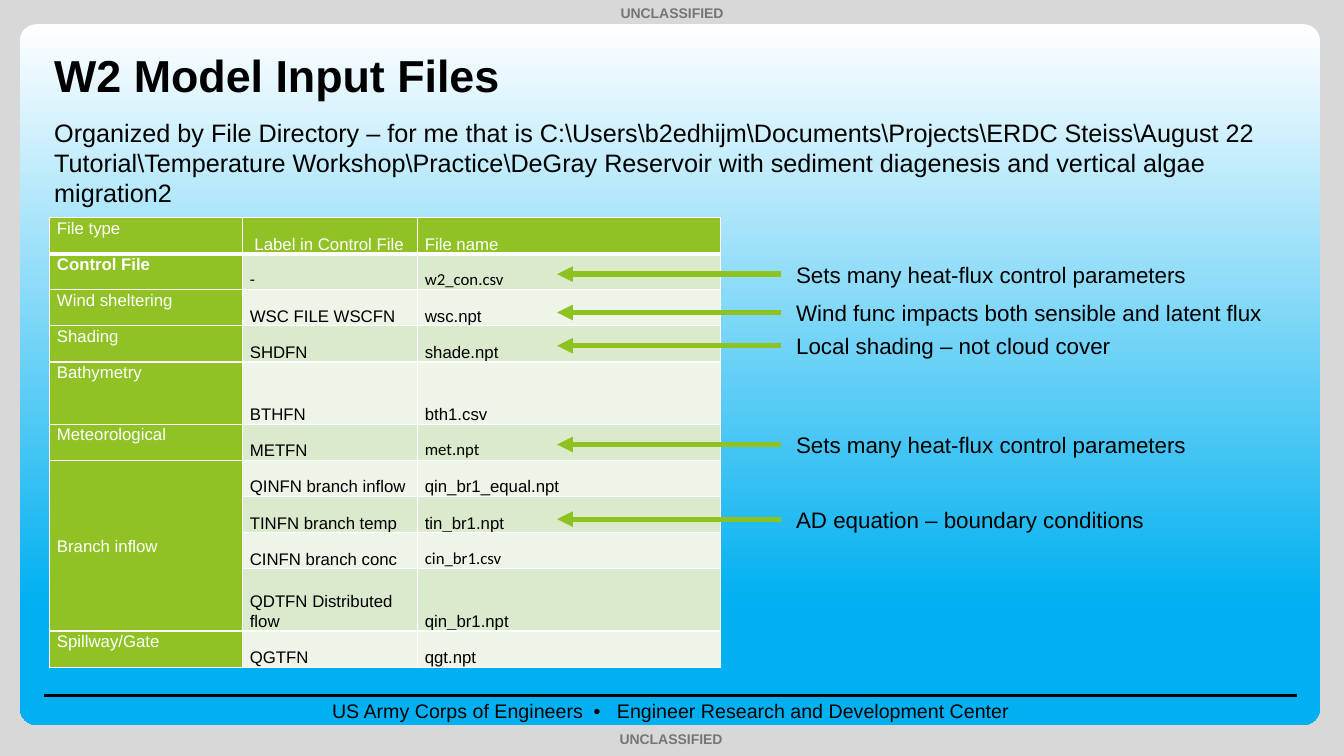
from lxml.etree import SubElement
from pptx import Presentation
from pptx.dml.color import RGBColor
from pptx.enum.shapes import MSO_CONNECTOR as Connector, MSO_SHAPE as Shape
from pptx.enum.text import MSO_ANCHOR as Anchor, MSO_AUTO_SIZE as AutoSize, PP_ALIGN as Align
from pptx.oxml import parse_xml
from pptx.oxml.ns import nsdecls, qn
from pptx.util import Pt

BLACK = RGBColor(0x00, 0x00, 0x00)
WHITE = RGBColor(0xFF, 0xFF, 0xFF)
BACKDROP = RGBColor(0xD8, 0xD8, 0xD8)
MARKING = RGBColor(0x76, 0x76, 0x76)
SKY = RGBColor(0x00, 0xB0, 0xF0)
GREEN = RGBColor(0x90, 0xC2, 0x26)
ARROW_GREEN = RGBColor(0x8E, 0xC2, 0x21)
BAND_DARK = RGBColor(0xDB, 0xE9, 0xCD)
BAND_LIGHT = RGBColor(0xEE, 0xF4, 0xE8)

DIRECTORY = (
    "Organized by File Directory – for me that is "
    "C:\\Users\\b2edhijm\\Documents\\Projects\\ERDC Steiss\\August 22 "
    "Tutorial\\Temperature Workshop\\Practice\\DeGray Reservoir with "
    "sediment diagenesis and vertical algae migration2"
)
FILES = [
    ("File type", " Label in Control File", "File name"),
    ("Control File", "-", "w2_con.csv"),
    ("Wind sheltering", "WSC FILE WSCFN", "wsc.npt"),
    ("Shading", "SHDFN", "shade.npt"),
    ("Bathymetry", "BTHFN", "bth1.csv"),
    ("Meteorological", "METFN", "met.npt"),
    ("Branch inflow", "QINFN branch inflow", "qin_br1_equal.npt"),
    ("", "TINFN branch temp", "tin_br1.npt"),
    ("", "CINFN branch conc", "cin_br1.csv"),
    ("", "QDTFN Distributed flow", "qin_br1.npt"),
    ("Spillway/Gate", "QGTFN", "qgt.npt"),
]
COLUMN_WIDTHS = (137.8, 125, 216.5)
ROW_HEIGHT, TALL_ROW_HEIGHT = 25.8, 44.5
TALL_ROWS = (4, 9)
BRANCH_ROWS = (6, 9)
CALIBRI_TEXTS = ("-", "w2_con.csv", "met.npt", "cin_br1.csv")
NOTES = [
    ("Sets many heat-flux control parameters", 195.8, 299.5),
    ("Wind func impacts both sensible and latent flux", 223.2, 350),
    ("Local shading – not cloud cover", 247, 247.7),
    ("Sets many heat-flux control parameters", 317.5, 299.5),
    ("AD equation – boundary conditions", 370.8, 270.7),
]


def style_text(para, size, color, bold=False, name="Arial"):
    for span in para.runs:
        span.font.size = Pt(size)
        span.font.name = name
        span.font.bold = bold
        span.font.color.rgb = color


def add_text(page, box, text, size, color=BLACK, bold=False,
             align=Align.LEFT, anchor=Anchor.TOP, wrap=True, grow=True):
    frame = page.shapes.add_textbox(*map(Pt, box)).text_frame
    frame.word_wrap = wrap
    frame.auto_size = AutoSize.SHAPE_TO_FIT_TEXT if grow else AutoSize.NONE
    frame.vertical_anchor = anchor
    frame.text = text
    frame.paragraphs[0].alignment = align
    style_text(frame.paragraphs[0], size, color, bold)


def add_line(page, start, end, color, width, arrow=False):
    line = page.shapes.add_connector(Connector.STRAIGHT, *map(Pt, start + end))
    line.line.color.rgb = color
    line.line.width = Pt(width)
    if arrow:
        SubElement(line.line._get_or_add_ln(), qn("a:tailEnd"), type="triangle")
    SubElement(line._element.spPr, qn("a:effectLst"))


def add_frame(page, box):
    left, top, width, height = box
    page.background.fill.solid()
    page.background.fill.fore_color.rgb = BACKDROP
    panel = page.shapes.add_shape(
        Shape.ROUNDED_RECTANGLE,
        Pt(left + 14.4), Pt(top + 17.3), Pt(width - 31.7), Pt(height - 39.6))
    panel.adjustments[0] = 0.023
    panel.shadow.inherit = False
    panel.line.fill.background()
    panel.fill.gradient()
    panel.fill.gradient_angle = 270
    for stop, position, color in zip(panel.fill.gradient_stops, (0, 0.83), (WHITE, SKY)):
        stop.position = position
        stop.color.rgb = color
    rule_y = top + height - 43.2
    add_line(page, (left + 31.7, rule_y), (left + width - 33.3, rule_y), BLACK, 1.5)
    add_text(page, (left + 32.4, rule_y - 1.4, width - 66.4, 24.5),
             "US Army Corps of Engineers  •   Engineer Research and Development Center",
             14, align=Align.CENTER)
    for marking_left, marking_top in ((left, top), (left - 0.7, top + height - 21.6)):
        add_text(page, (marking_left, marking_top, width, 19.4), "UNCLASSIFIED",
                 10, MARKING, bold=True, align=Align.CENTER)


def add_heading(page, box):
    left, top, width, height = box
    add_text(page, (left, top, width, 63.4), "W2 Model Input Files", 32,
             bold=True, anchor=Anchor.MIDDLE, grow=False)
    add_text(page, (left, top + 58.3, width, height - 58.3), DIRECTORY, 18)


def set_borders(cell, bottom):
    properties = cell._tc.get_or_add_tcPr()
    for index, (side, width) in enumerate((("L", 1), ("R", 1), ("T", 1), ("B", bottom))):
        properties.insert(index, parse_xml(
            f'<a:ln{side} {nsdecls("a")} w="{Pt(width)}"><a:solidFill>'
            f'<a:srgbClr val="{WHITE}"/></a:solidFill></a:ln{side}>'))


def fill_cell(cell, text, row, column):
    labelled = row == 0 or column == 0
    cell.margin_left = cell.margin_right = Pt(5.4)
    cell.margin_top = cell.margin_bottom = 0
    cell.vertical_anchor = Anchor.BOTTOM if column else Anchor.TOP
    cell.fill.solid()
    cell.fill.fore_color.rgb = GREEN if labelled else BAND_DARK if row % 2 else BAND_LIGHT
    set_borders(cell, 3 if row == 0 else 1)
    cell.text = text
    para = cell.text_frame.paragraphs[0]
    para.line_spacing = 1.07
    style_text(para, 12, WHITE if labelled else BLACK, text == "Control File",
               "Calibri" if text in CALIBRI_TEXTS else "Arial")


def add_file_table(page, box):
    table = page.shapes.add_table(
        len(FILES), len(COLUMN_WIDTHS), *map(Pt, box)).table
    for column, width in zip(table.columns, COLUMN_WIDTHS):
        column.width = Pt(width)
    for row, texts in enumerate(FILES):
        table.rows[row].height = Pt(TALL_ROW_HEIGHT if row in TALL_ROWS else ROW_HEIGHT)
        for column, text in enumerate(texts):
            fill_cell(table.cell(row, column), text, row, column)
    first, last = BRANCH_ROWS
    table.cell(first, 0).merge(table.cell(last, 0))
    table.cell(first, 0).vertical_anchor = Anchor.MIDDLE


def add_notes(page, left):
    arrow_start = left + 160
    for text, y, width in NOTES:
        add_line(page, (arrow_start, y), (left, y), ARROW_GREEN, 3.75, arrow=True)
        add_text(page, (arrow_start + 3.6, y - 13, width, 26.6), text, 16, wrap=False)


def main():
    deck = Presentation()
    deck.slide_width, deck.slide_height = Pt(960), Pt(540)
    page = deck.slides.add_slide(deck.slide_layouts[6])
    add_frame(page, (0, 0, 960, 540))
    add_heading(page, (31.7, 21.6, 880, 131))
    add_file_table(page, (35.3, 155.4, 479.3, 321.2))
    add_notes(page, 398)
    deck.save("out.pptx")


if __name__ == "__main__":
    main()
